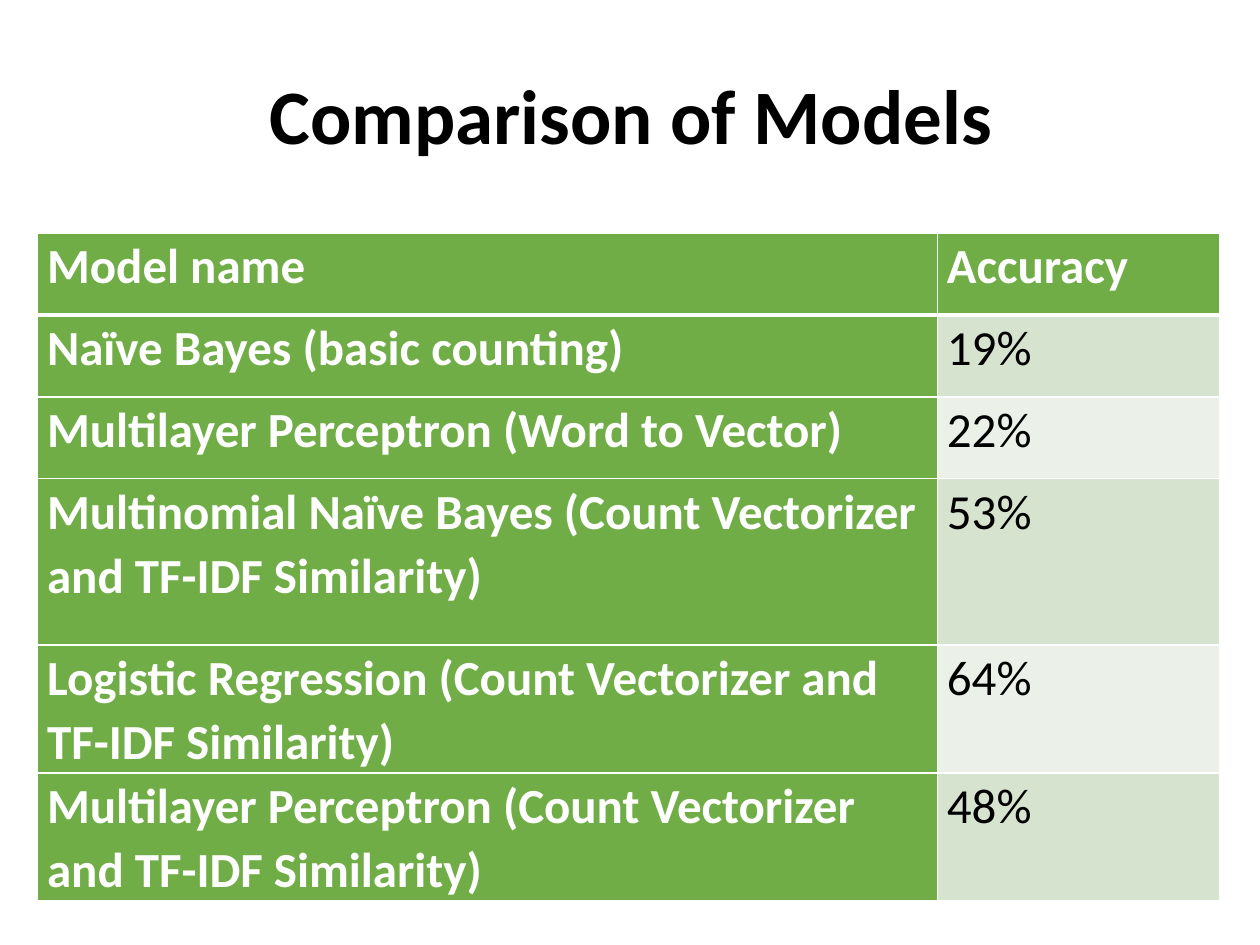
from lxml.etree import SubElement
from pptx import Presentation
from pptx.dml.color import RGBColor
from pptx.enum.text import MSO_ANCHOR, PP_ALIGN
from pptx.oxml.ns import qn
from pptx.util import Cm, Pt

GREEN, WHITE, BLACK = "70AD47", "FFFFFF", "000000"
BANDS = ["D5E3CF", "EBF1E9"]

MODELS = [
    ("Model name", "Accuracy"),
    ("Naïve Bayes (basic counting)", "19%"),
    ("Multilayer Perceptron (Word to Vector)", "22%"),
    ("Multinomial Naïve Bayes (Count Vectorizer and TF-IDF Similarity)", "53%"),
    ("Logistic Regression (Count Vectorizer and TF-IDF Similarity)", "64%"),
    ("Multilayer Perceptron (Count Vectorizer and TF-IDF Similarity)", "48%"),
]
ROW_HEIGHTS = [1.65, 1.65, 1.65, 3.35, 1.65, 1.65]
COLUMN_WIDTHS = [18.14, 5.69]


def style_text(paragraph, size, color, bold, spacing):
    paragraph.line_spacing = spacing
    font = paragraph.font
    font.name, font.size, font.bold = "Calibri", Pt(size), bold
    font.color.rgb = RGBColor.from_string(color)


def add_border(cell, side, width):
    line = SubElement(cell._tc.get_or_add_tcPr(), qn(f"a:ln{side}"), w=str(Pt(width)))
    fill = SubElement(line, qn("a:solidFill"))
    SubElement(fill, qn("a:srgbClr"), val=WHITE)


deck = Presentation()
deck.slide_width, deck.slide_height = Cm(25.4), Cm(19.05)
page = deck.slides.add_slide(deck.slide_layouts[5])

# Title
title = page.shapes.title
title.left, title.top, title.width, title.height = Cm(1.78), Cm(0.58), Cm(21.9), Cm(3.68)
title.text_frame.text = "Comparison of Models"
title.text_frame.vertical_anchor = MSO_ANCHOR.MIDDLE
heading = title.text_frame.paragraphs[0]
heading.alignment = PP_ALIGN.CENTER
style_text(heading, 44, BLACK, True, 0.9)

# Table grid
table = page.shapes.add_table(
    len(MODELS), len(COLUMN_WIDTHS), Cm(0.76), Cm(4.7),
    Cm(sum(COLUMN_WIDTHS)), Cm(sum(ROW_HEIGHTS))).table
table.horz_banding = False
for column, width in zip(table.columns, COLUMN_WIDTHS):
    column.width = Cm(width)
for row, height in zip(table.rows, ROW_HEIGHTS):
    row.height = Cm(height)

# Cells: green header row and first column, banded accuracy values
for row_index, entries in enumerate(MODELS):
    for column_index, text in enumerate(entries):
        cell = table.cell(row_index, column_index)
        is_heading = row_index == 0 or column_index == 0
        cell.margin_left = cell.margin_right = Cm(0.19)
        cell.margin_top = cell.margin_bottom = 0
        cell.text = text
        style_text(cell.text_frame.paragraphs[0], 28,
                   WHITE if is_heading else BLACK, is_heading, 1.07)

        # Thick rule between header and body, thin ones elsewhere
        add_border(cell, "L", 1)
        add_border(cell, "R", 1)
        add_border(cell, "T", 3 if row_index == 1 else 1)
        add_border(cell, "B", 3 if row_index == 0 else 1)

        cell.fill.solid()
        color = GREEN if is_heading else BANDS[(row_index - 1) % 2]
        cell.fill.fore_color.rgb = RGBColor.from_string(color)

deck.save("out.pptx")
